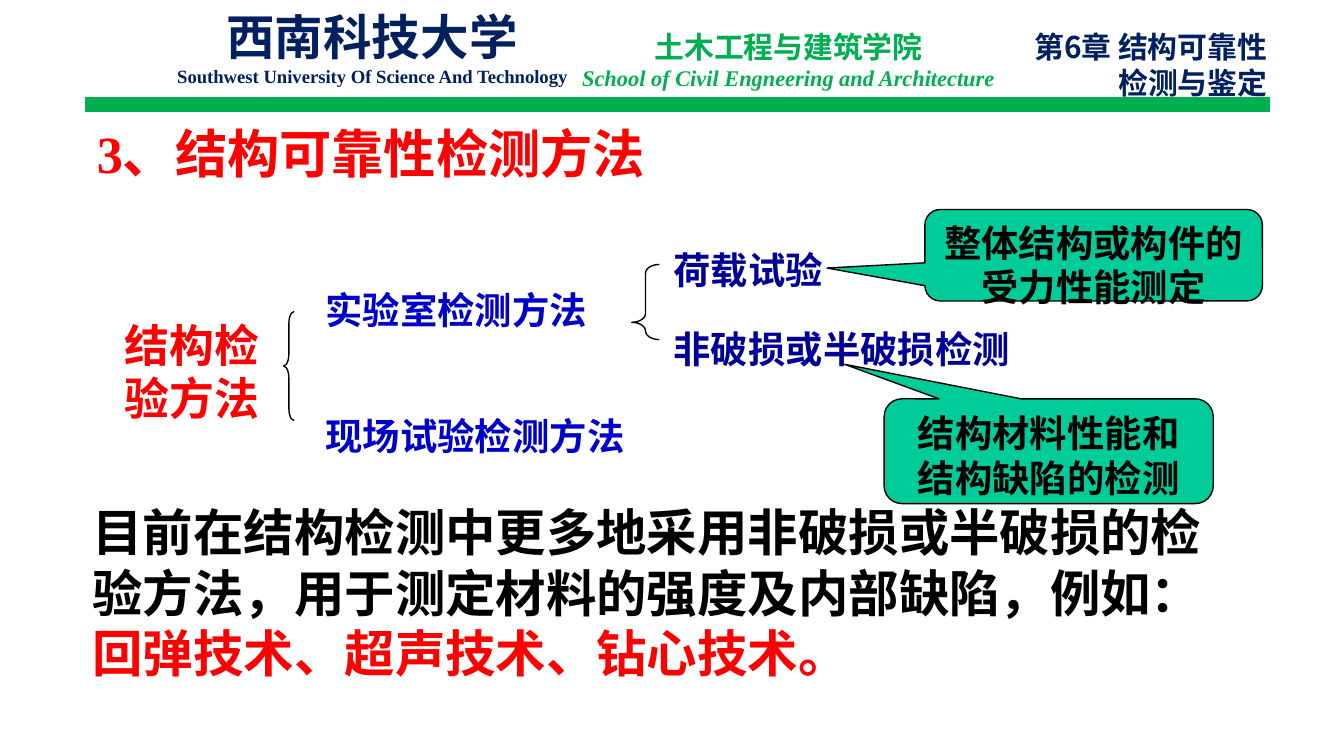
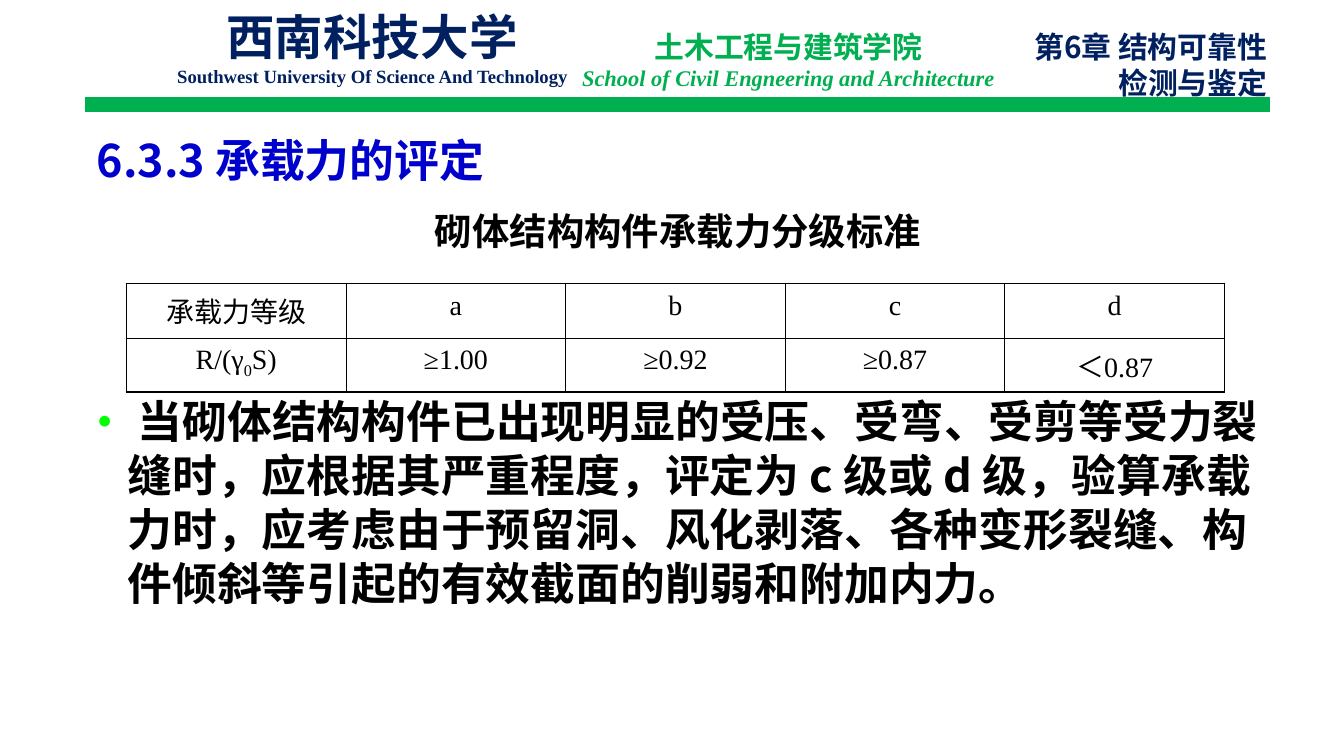
"""Build two lecture slides on structural reliability testing and assessment."""
import pptx
import pptx.chart.data
import pptx.dml.color
import pptx.enum.shapes
import pptx.enum.text
import pptx.oxml
import pptx.oxml.ns
import pptx.util
from lxml import etree

Cm, Pt = pptx.util.Cm, pptx.util.Pt
qn = pptx.oxml.ns.qn
RGB = pptx.dml.color.RGBColor.from_string
ALIGN = pptx.enum.text.PP_ALIGN
SHAPE = pptx.enum.shapes.MSO_SHAPE

COLORS = {"navy": "002060", "green": "00B050", "red": "FF0000", "blue": "0000CC",
          "indigo": "000099", "black": "000000", "callout": "00CC99", "bullet": "00FF00"}
SANS, SERIF = "Noto Sans CJK SC", "Times New Roman"
INSETS = {"margin_left": Cm(0.23), "margin_right": Cm(0.23),
          "margin_top": Cm(0.11), "margin_bottom": Cm(0.11)}
HEADER_INSETS = {"margin_left": Cm(0.25), "margin_right": Cm(0.25),
                 "margin_top": Cm(0.13), "margin_bottom": Cm(0.13)}


def fill_text(tf, paras, align=ALIGN.LEFT, wrap=True, insets=INSETS):
    """Write paragraphs, each a list of (text, size, colour, font, extras) runs."""
    tf.word_wrap = wrap
    tf.auto_size = pptx.enum.text.MSO_AUTO_SIZE.NONE
    tf.vertical_anchor = pptx.enum.text.MSO_ANCHOR.TOP
    for name, value in insets.items():
        setattr(tf, name, value)
    for i, runs in enumerate(paras):
        p = tf.add_paragraph() if i else tf.paragraphs[0]
        p.alignment = align
        p.space_before = Pt(0)
        for text, size, color, font, extras in runs:
            r = p.add_run()
            r.text = text
            for name, value in {"size": Pt(size), "name": font, "bold": True, **extras}.items():
                setattr(r.font, name, value)
            r.font.color.rgb = RGB(COLORS[color])
            etree.SubElement(r.font._element, qn("a:ea")).set("typeface", SANS)


def add_text(s, box, paras, align=ALIGN.LEFT, wrap=True, insets=INSETS):
    """Add a text box and fill it."""
    sp = s.shapes.add_textbox(*map(Cm, box))
    fill_text(sp.text_frame, paras, align, wrap, insets)
    return sp


prs = pptx.Presentation()
prs.slide_width, prs.slide_height = Cm(25.4), Cm(14.29)
layout = prs.slide_layouts[1]
methods, rating = [prs.slides.add_slide(layout) for _ in range(2)]

rule = methods.shapes.add_connector(pptx.enum.shapes.MSO_CONNECTOR.STRAIGHT,
                                    Cm(1.6), Cm(1.98), Cm(24), Cm(1.98))
rule.line.width = Pt(8)
rule.line.color.rgb = RGB(COLORS["green"])
etree.SubElement(rule.element.spPr, qn("a:effectLst"))
header = [rule]
for box, align, wrap, paras in [
    ((2.77, 0, 8.53, 1.78), ALIGN.CENTER, True,
     [[("西南科技大学", 26, "navy", SANS, {})],
      [("Southwest University Of Science And Technology", 10, "navy", SERIF, {})]]),
    ((10.74, 0.41, 8.33, 1.45), ALIGN.CENTER, False,
     [[("土木工程与建筑学院", 16, "green", SANS, {})],
      [("School of Civil Engneering and Architecture", 12, "green", SERIF, {"italic": True})]]),
    ((18.64, 0.41, 5.56, 1.63), ALIGN.RIGHT, True,
     [[("第6章 结构可靠性", 16, "navy", SANS, {})], [("检测与鉴定", 16, "navy", SANS, {})]]),
]:
    header.append(add_text(methods, box, paras, align, wrap, HEADER_INSETS))
for i, sp in enumerate(header):
    sp.element.xpath(".//p:cNvPr")[0].set("id", str(20 + i))
    layout.shapes.element.append(sp.element)

for s, title_box, title_run, body_box, body_runs in [
    (methods, (1.6, 2.18, 22.43, 1.4), ("3、结构可靠性检测方法", 28, "red", SERIF, {}),
     (1.52, 9.37, 21.97, 3.66),
     [("目前在结构检测中更多地采用非破损或半破损的检验方法，用于测定材料的强度及内部缺陷，例如：",
       27, "black", SERIF, {}),
      ("回弹技术、超声技术、钻心技术。", 27, "red", SERIF, {})]),
    (rating, (1.6, 2.39, 22.43, 1.19), ("6.3.3 承载力的评定", 24, "blue", SANS, {}),
     (1.6, 7.34, 22.81, 4.29),
     [(" 当砌体结构构件已出现明显的受压、受弯、受剪等受力裂缝时，应根据其严重程度，"
       "评定为 c 级或 d 级，验算承载力时，应考虑由于预留洞、风化剥落、各种变形裂缝、"
       "构件倾斜等引起的有效截面的削弱和附加内力。", 24, "black", SANS, {})]),
]:
    for sp, box, runs in [(s.shapes.title, title_box, [title_run]),
                          (s.placeholders[1], body_box, body_runs)]:
        sp.left, sp.top, sp.width, sp.height = map(Cm, box)
        fill_text(sp.text_frame, [runs])

pPr = methods.placeholders[1].text_frame.paragraphs[0]._p.get_or_add_pPr()
pPr.set("marL", "0")
pPr.set("indent", "0")
etree.SubElement(pPr, qn("a:buNone"))
pPr = rating.placeholders[1].text_frame.paragraphs[0]._p.get_or_add_pPr()
pPr.set("marL", str(Cm(0.58)))
pPr.set("indent", str(Cm(-0.58)))
etree.SubElement(etree.SubElement(pPr, qn("a:buClr")), qn("a:srgbClr")).set("val", COLORS["bullet"])
etree.SubElement(pPr, qn("a:buFont")).set("typeface", SERIF)
etree.SubElement(pPr, qn("a:buChar")).set("char", "•")

for kind, box, adjustments, fill, text in [
    (SHAPE.ROUNDED_RECTANGULAR_CALLOUT, (17.48, 3.96, 6.38, 1.73), (-0.79, 0.14, 0.17),
     "callout", "整体结构或构件的受力性能测定"),
    (SHAPE.ROUNDED_RECTANGULAR_CALLOUT, (16.71, 7.54, 6.22, 1.98), (-0.62, -0.83, 0.17),
     "callout", "结构材料性能和结构缺陷的检测"),
    (SHAPE.LEFT_BRACE, (5.36, 5.89, 0.2, 2.06), (1.15, 0.5), None, None),
    (SHAPE.LEFT_BRACE, (11.94, 5, 0.52, 1.42), (0.32, 0.77), None, None),
]:
    sp = methods.shapes.add_shape(kind, *map(Cm, box))
    sp.shadow.inherit = False
    for i, value in enumerate(adjustments):
        sp.adjustments[i] = value
    sp.line.width = Pt(0.75)
    sp.line.color.rgb = RGB(COLORS["black"])
    if fill:
        sp.fill.solid()
        sp.fill.fore_color.rgb = RGB(COLORS[fill])
        fill_text(sp.text_frame, [[(text, 20, "black", SERIF, {})]], ALIGN.CENTER)
    else:
        sp.fill.background()

add_text(methods, (1.52, 5.89, 4.22, 2.26),
         [[(text, 24, "red", SERIF, {})] for text in ("结构检", "验方法")], ALIGN.CENTER)
for left, top, width, color, text in [
    (5.92, 5.31, 6.27, "blue", "实验室检测方法"),
    (5.92, 7.7, 7.32, "blue", "现场试验检测方法"),
    (12.5, 4.57, 3.99, "indigo", "荷载试验"),
    (12.5, 6.05, 7.67, "indigo", "非破损或半破损检测"),
]:
    add_text(methods, (left, top, width, 1.07), [[(text, 20, color, SERIF, {})]])

add_text(rating, (1.6, 3.83, 22.43, 1.07),
         [[("砌体结构构件承载力分级标准", 20, "black", SANS, {})]], ALIGN.CENTER)
rows = [["承载力等级", "a", "b", "c", "d"],
        ["R/(γ0S)", "≥1.00", "≥0.92", "≥0.87", "＜0.87"]]
table = rating.shapes.add_table(2, 5, Cm(2.39), Cm(5.36), Cm(20.75), Cm(1.75)).table
table.first_row = table.horz_banding = False
for row, height in zip(table.rows, (0.84, 0.91)):
    row.height = Cm(height)
for col in table.columns:
    col.width = Cm(4.15)
for i, row in enumerate(rows):
    for j, text in enumerate(row):
        cell = table.cell(i, j)
        for name, value in HEADER_INSETS.items():
            setattr(cell, name, value)
        parts = ["R/(γ", "0", "S)"] if "γ" in text else [text]
        p = cell.text_frame.paragraphs[0]
        p.alignment = ALIGN.CENTER
        for part in parts:
            r = p.add_run()
            r.text = part
            for name, value in {"size": Pt(15), "name": SERIF, "bold": False}.items():
                setattr(r.font, name, value)
            r.font.color.rgb = RGB(COLORS["black"])
            etree.SubElement(r.font._element, qn("a:ea")).set("typeface", SANS)
            if part == "0":
                r.font._element.set("baseline", "-25000")
        tcPr = cell._tc.get_or_add_tcPr()
        for side, outer in [("L", j == 0), ("R", j == 4), ("T", i == 0), ("B", i == 1)]:
            ln = etree.SubElement(tcPr, qn(f"a:ln{side}"), w=str(Pt(1.08 if outer else 0.45)))
            paint = etree.SubElement(ln, qn("a:solidFill"))
            etree.SubElement(paint, qn("a:srgbClr")).set("val", COLORS["black"])
        cell.fill.background()

prs.save("out.pptx")
